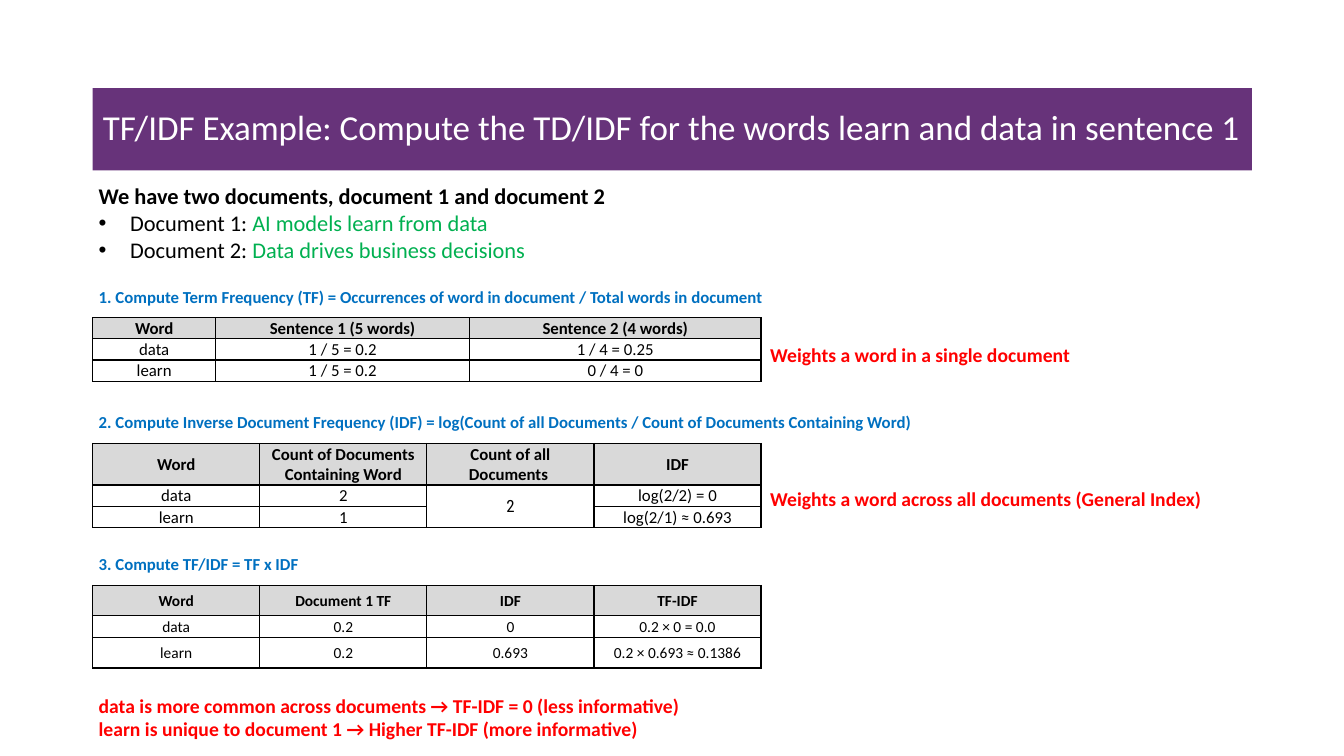
from dataclasses import dataclass

from lxml import etree
from pptx import Presentation
from pptx.dml.color import RGBColor
from pptx.enum.text import MSO_ANCHOR, MSO_AUTO_SIZE, PP_ALIGN
from pptx.oxml.ns import qn
from pptx.util import Pt

LEFT, CENTER = PP_ALIGN.LEFT, PP_ALIGN.CENTER
MIDDLE = MSO_ANCHOR.MIDDLE
NO_FIT = MSO_AUTO_SIZE.NONE
TITLE_ONLY = 5
TABLE_LEFT, TEXT_LEFT, NOTE_LEFT = 66.24, 63.4, 543
TABLE_WIDTH = 477.4


@dataclass(frozen=True)
class Theme:
    font: str = "Calibri"
    alt_font: str = "Roboto Condensed"
    banner: str = "67337A"
    white: str = "FFFFFF"
    black: str = "000000"
    header: str = "D9D9D9"
    step: str = "0070C0"
    sentence: str = "00B050"
    note: str = "FF0000"
    title_size: int = 25
    intro_size: int = 16
    note_size: int = 14
    step_size: int = 12
    small_size: int = 11


def write(tf, paragraphs, font, size, color, bold=False, align=LEFT):
    """Fill a text frame; a paragraph is a string or a list of (text, color) runs."""
    for i, runs in enumerate(paragraphs):
        p = tf.paragraphs[0] if i == 0 else tf.add_paragraph()
        p.alignment = align
        for text, run_color in [(runs, color)] if isinstance(runs, str) else runs:
            r = p.add_run()
            r.text = text
            r.font.name, r.font.size, r.font.bold = font, Pt(size), bold
            r.font.color.rgb = RGBColor.from_string(run_color)


def add_bullet(p, indent):
    pPr = p._p.get_or_add_pPr()
    pPr.set("marL", str(Pt(indent)))
    pPr.set("indent", str(-Pt(indent)))
    etree.SubElement(pPr, qn("a:buFont"), typeface="Arial")
    etree.SubElement(pPr, qn("a:buChar"), char="•")


def add_borders(cell, color, width=1):
    tcPr = cell._tc.get_or_add_tcPr()
    for side in ("lnL", "lnR", "lnT", "lnB"):
        ln = etree.SubElement(tcPr, qn("a:" + side), w=str(Pt(width)))
        fill = etree.SubElement(ln, qn("a:solidFill"))
        etree.SubElement(fill, qn("a:srgbClr"), val=color)


class SlideBuilder:
    def __init__(self, slide, theme):
        self.s, self.theme = slide, theme

    def title(self, text, x, y, w, h):
        t, sp = self.theme, self.s.shapes.title
        sp.left, sp.top, sp.width, sp.height = Pt(x), Pt(y), Pt(w), Pt(h)
        sp.fill.solid()
        sp.fill.fore_color.rgb = RGBColor.from_string(t.banner)
        tf = sp.text_frame
        tf.auto_size, tf.vertical_anchor, tf.word_wrap = NO_FIT, MIDDLE, True
        write(tf, [text], t.font, t.title_size, t.white)
        tf.paragraphs[0].line_spacing = 0.9

    def text(self, paragraphs, x, y, w, h, size, color, bold=True):
        sp = self.s.shapes.add_textbox(Pt(x), Pt(y), Pt(w), Pt(h))
        tf = sp.text_frame
        tf.word_wrap = True
        write(tf, paragraphs, self.theme.font, size, color, bold)
        return tf

    def step(self, text, y, w):
        self.text([text], TEXT_LEFT, y, w, 21.6, self.theme.step_size, self.theme.step)

    def note(self, lines, x, y, w, h):
        self.text(lines, x, y, w, h, self.theme.note_size, self.theme.note)

    def table(self, rows, y, col_widths, row_heights, size):
        """Draw a table whose first row is the header; None continues the cell above."""
        frame = self.s.shapes.add_table(len(rows), len(col_widths), Pt(TABLE_LEFT), Pt(y),
                                        Pt(sum(col_widths)), Pt(sum(row_heights)))
        table = frame.table
        table.first_row = table.horz_banding = False
        for col, width in zip(table.columns, col_widths):
            col.width = Pt(width)
        for row, height in zip(table.rows, row_heights):
            row.height = Pt(height)
        for i, row in enumerate(rows):
            for j, text in enumerate(row):
                self.cell(table.cell(i, j), text, size, header=i == 0)
                if text is None:
                    table.cell(i - 1, j).merge(table.cell(i, j))
        return table

    def cell(self, cell, text, size, header):
        t = self.theme
        cell.margin_left = cell.margin_right = cell.margin_top = Pt(0.7)
        cell.margin_bottom = Pt(0)
        cell.vertical_anchor = MIDDLE
        add_borders(cell, t.black)
        if header:
            cell.fill.solid()
            cell.fill.fore_color.rgb = RGBColor.from_string(t.header)
        else:
            cell.fill.background()
        if text is not None:
            write(cell.text_frame, text.split("\n"), t.font, size, t.black, header, CENTER)


def main():
    prs = Presentation()
    prs.slide_width, prs.slide_height = Pt(960), Pt(540)
    theme = Theme()
    slide = SlideBuilder(prs.slides.add_slide(prs.slide_layouts[TITLE_ONLY]), theme)
    quarters = [TABLE_WIDTH / 4] * 4

    slide.title("TF/IDF Example: Compute the TD/IDF for the words learn and data in sentence 1",
                TABLE_LEFT, 62.9, 828, 58.9)

    intro = slide.text(["We have two documents, document 1 and document 2"],
                       TEXT_LEFT, 126.7, 553.7, 65.5, theme.intro_size, theme.black)
    documents = [("Document 1: ", "AI models learn from data"),
                 ("Document 2: ", "Data drives business decisions")]
    for label, sentence in documents:
        p = intro.add_paragraph()
        add_bullet(p, 22.5)
        for text, color in ((label, theme.black), (sentence, theme.sentence)):
            r = p.add_run()
            r.text = text
            r.font.name, r.font.size = theme.font, Pt(theme.intro_size)
            r.font.color.rgb = RGBColor.from_string(color)

    slide.step("1. Compute Term Frequency (TF) = Occurrences of word in document"
               " / Total words in document", 201, 602)
    slide.table([["Word", "Sentence 1 (5 words)", "Sentence 2 (4 words)"],
                 ["data", "1 / 5 = 0.2", "1 / 4 = 0.25"],
                 ["learn", "1 / 5 = 0.2", "0 / 4 = 0"]],
                226.9, [87.8, 181.4, 208.2], [15.1] * 3, theme.step_size)
    slide.note(["Weights a word in a single document"], NOTE_LEFT, 241.2, 427.7, 24)

    slide.step("2. Compute Inverse Document Frequency (IDF) = log(Count of all Documents"
               " / Count of Documents Containing Word)", 290.4, 602)
    idf = slide.table([["Word", "Count of Documents Containing Word",
                        "Count of all\nDocuments ", "IDF"],
                       ["data", "2", "2", "log(2/2) = 0"],
                       ["learn", "1", None, "log(2/1) ≈ 0.693"]],
                      316.8, quarters, [29.6, 15.1, 15.1], theme.step_size)
    idf.cell(1, 2).text_frame.paragraphs[0].runs[0].font.name = theme.alt_font
    slide.note(["Weights a word across all documents (General Index)"],
               NOTE_LEFT, 344.4, 427.7, 24)

    slide.step("3. Compute TF/IDF = TF x IDF", 391.7, 828)
    slide.table([["Word", "Document 1 TF", "IDF", "TF-IDF"],
                 ["data", "0.2", "0", "0.2 × 0 = 0.0"],
                 ["learn", "0.2", "0.693", "0.2 × 0.693 ≈ 0.1386"]],
                418.1, quarters, [21.6, 15.9, 21.6], theme.small_size)
    slide.note(["data is more common across documents → TF-IDF = 0 (less informative)",
                "learn is unique to document 1 → Higher TF-IDF (more informative)"],
               TEXT_LEFT, 491.8, 480.2, 41)

    prs.save("out.pptx")


if __name__ == "__main__":
    main()
